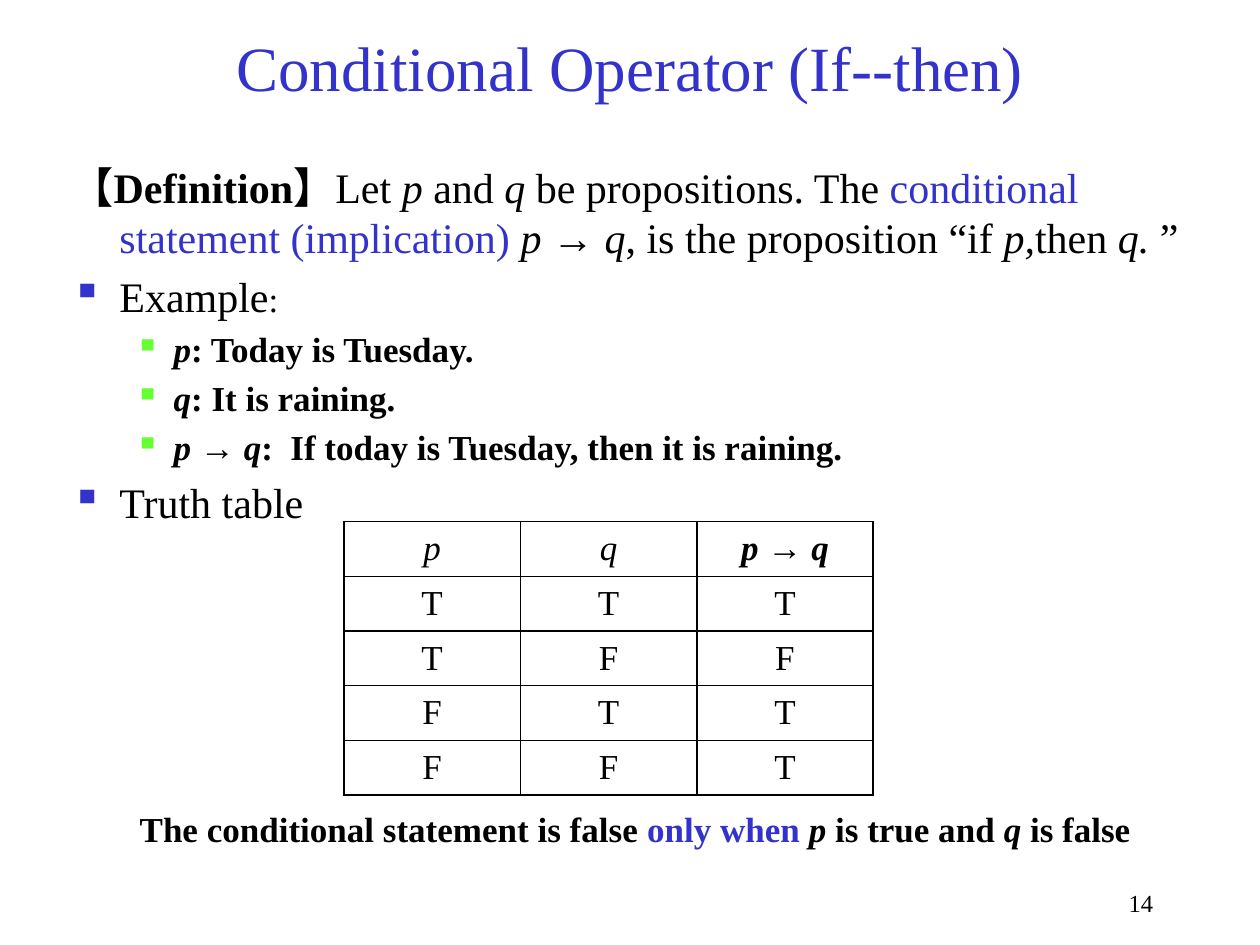
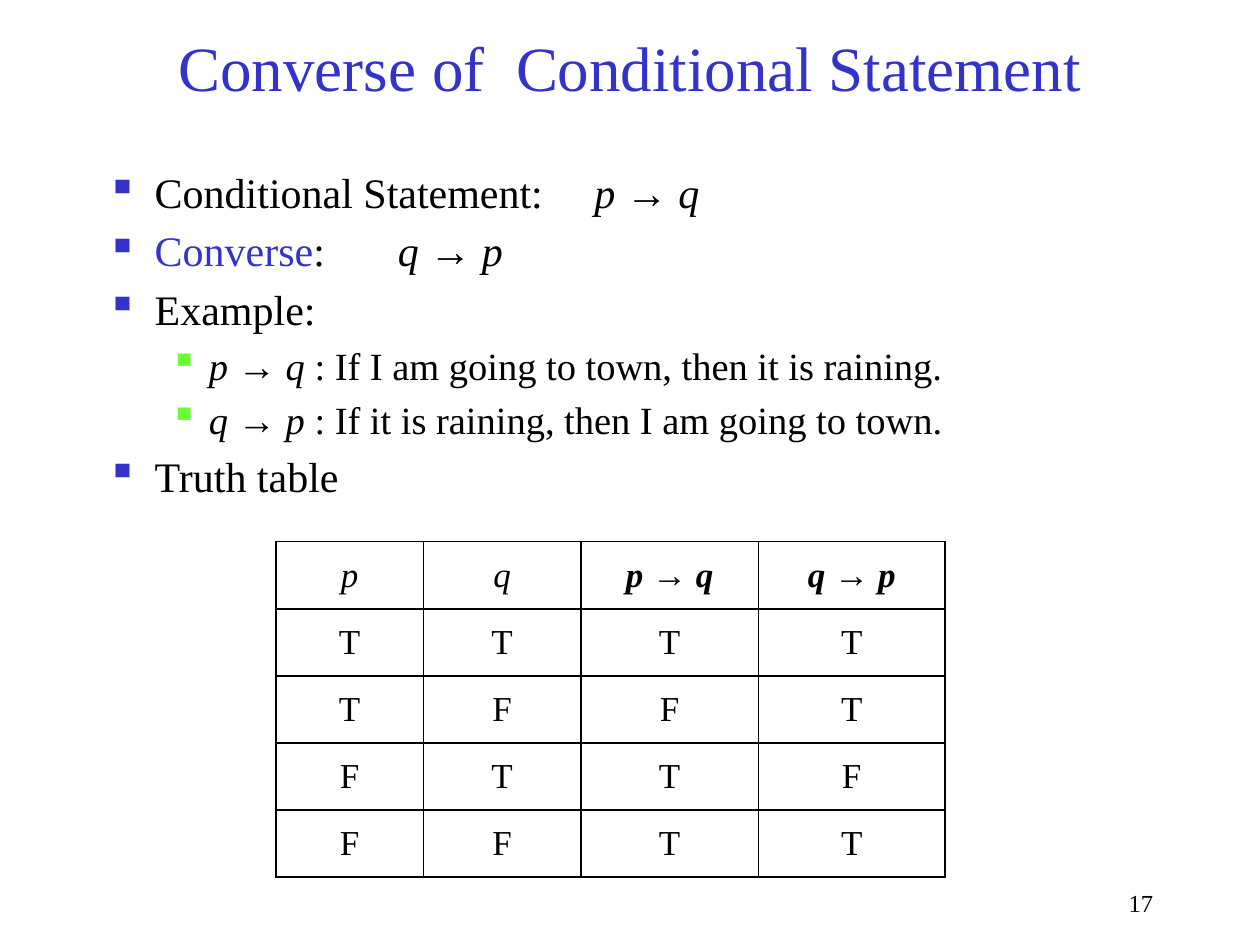
from pptx import Presentation
from pptx.dml.color import RGBColor
from pptx.enum.text import MSO_ANCHOR as Anchor, PP_ALIGN as Align
from pptx.oxml import parse_xml
from pptx.oxml.ns import nsdecls
from pptx.util import Inches, Pt

# Shared look
FONT = "Times New Roman"
BLACK, WHITE, BLUE, GREEN = "000000", "FFFFFF", "3333CC", "66FF33"
BULLETS = {"main": BLUE, "sub": GREEN}
hex_color = RGBColor.from_string

deck = Presentation()
deck.slide_width, deck.slide_height = Inches(10), Inches(7.5)


def grid(left, top, width, height):
    """Turn percentages of the slide's size into lengths."""
    across, down = deck.slide_width / 100, deck.slide_height / 100
    return int(left * across), int(top * down), int(width * across), int(height * down)


def write_line(frame, spans, size, color=BLACK, align=Align.LEFT, kind=None, tab=None):
    """Add a paragraph; span styles are b (bold), i (italic), a (accent), s (small)."""
    frame.word_wrap = True
    para = frame.paragraphs[0] if not frame.paragraphs[0].runs else frame.add_paragraph()
    para.alignment = align
    para.font.name, para.font.size = FONT, Pt(size)
    para.font.color.rgb = hex_color(color)
    props = para._p.get_or_add_pPr()
    extras = []
    if kind:
        para.level = int(kind == "sub")
        margin, hang = (0.81, 0.31) if kind == "sub" else (0.38, 0.38)
        props.set("marL", str(Inches(margin)))
        props.set("indent", str(-Inches(hang)))
    if kind or color == BLACK and align == Align.CENTER:
        extras.append(f'<a:spcBef {nsdecls("a")}><a:spcPct val="20000"/></a:spcBef>')
    if kind in BULLETS:
        extras.append(f'<a:buClr {nsdecls("a")}><a:srgbClr val="{BULLETS[kind]}"/></a:buClr>')
        extras.append(f'<a:buChar {nsdecls("a")} char="▪"/>')
    if tab:
        extras.append(f'<a:tabLst {nsdecls("a")}><a:tab pos="{Inches(tab)}" algn="l"/></a:tabLst>')
    for position, extra in enumerate(extras):
        props.insert(position, parse_xml(extra))
    for text, style in spans:
        span = para.add_run()
        span.text = text
        if "b" in style:
            span.font.bold = True
        if "i" in style:
            span.font.italic = True
        if "a" in style:
            span.font.color.rgb = hex_color(BLUE)
        if "s" in style:
            span.font.size = Pt(20)


# Formulas used in the text and in the table heads
P_TO_Q = [("p ", "i"), ("→ ", ""), ("q", "i")]
Q_TO_P = [("q ", "i"), ("→ ", ""), ("p", "i")]
P_TO_Q_BOLD, Q_TO_P_BOLD = ([(text, style + "b") for text, style in formula]
                            for formula in (P_TO_Q, Q_TO_P))
P_HEAD, Q_HEAD = [("p", "i")], [("q", "i")]

# Each line: kind, size, tab stop, spans
conditional_lines = [
    ("plain", 24, None, [
        ("【Definition】", "b"), ("Let ", ""), ("p ", "i"), ("and", ""), (" q ", "i"),
        ("be propositions. The ", ""), ("conditional statement (implication) ", "a"),
        ("p ", "i"), ("→ ", "b"), ("q", "i"), (", is the proposition “if ", ""),
        ("p,", "i"), ("then ", ""), ("q. ", "i"), ("”", "")]),
    ("main", 24, None, [("Example", ""), (":", "s")]),
    ("sub", 20, None, [("p", "bi"), (": Today is Tuesday.", "b")]),
    ("sub", 20, None, [("q", "bi"), (": It is raining.", "b")]),
    ("sub", 20, None, P_TO_Q_BOLD + [(":  If today is Tuesday, then it is raining.", "b")]),
    ("main", 24, None, [("Truth table", "")]),
]
converse_lines = [
    ("main", 24, 3.87, [("Conditional Statement:\t", "")] + P_TO_Q),
    ("main", 24, 2.31, [("Converse", "a"), (":\t", "")] + Q_TO_P),
    ("main", 24, None, [("Example:", "")]),
    ("sub", 22, None, P_TO_Q + [(" : If I am going to town, then it is raining.", "")]),
    ("sub", 22, None, Q_TO_P + [(" : If it is raining, then I am going to town.", "")]),
    ("main", 24, None, [("Truth table", "")]),
]

# Title, number, body place, body lines, table place, column widths, heads, truth rows
slides = [
    ("Conditional Operator (If--then)", "14", (4.7, 16.4, 91.4, 40), conditional_lines,
     (27.3, 55.2, 41.9, 27.6), [1.4] * 3,
     [P_HEAD, Q_HEAD, P_TO_Q_BOLD], ["TTT", "TFF", "FTT", "FFT"]),
    ("Converse of  Conditional Statement", "17", (7.5, 16.93, 85, 40), converse_lines,
     (21.9, 57.33, 53.1, 35.47), [1.17, 1.25, 1.41, 1.48],
     [P_HEAD, Q_HEAD, P_TO_Q_BOLD, Q_TO_P_BOLD], ["TTTT", "TFFT", "FTTF", "FFTT"]),
]

for title, number, body_place, lines, table_place, widths, heads, truths in slides:
    page = deck.slides.add_slide(deck.slide_layouts[6])

    # Title
    box = page.shapes.add_textbox(*grid(7.5, 1.73, 85, 10.53))
    box.text_frame.vertical_anchor = Anchor.MIDDLE
    write_line(box.text_frame, [(title, "")], 36, BLUE, Align.CENTER)

    # Body
    box = page.shapes.add_textbox(*grid(*body_place))
    for kind, size, tab, spans in lines:
        write_line(box.text_frame, spans, size, kind=kind, tab=tab)

    # Truth table
    rows = [heads] + [[[(value, "")] for value in truth] for truth in truths]
    place = grid(*table_place)
    table = page.shapes.add_table(len(rows), len(heads), *place).table
    table.first_row = table.horz_banding = False
    for column, width in zip(table.columns, widths):
        column.width = Inches(width)
    for r, row in enumerate(rows):
        table.rows[r].height = place[3] // len(rows)
        for c, spans in enumerate(row):
            cell = table.cell(r, c)
            cell.vertical_anchor = Anchor.MIDDLE
            write_line(cell.text_frame, spans, 20, align=Align.CENTER)
            for side in ("lnL", "lnR", "lnT", "lnB"):
                cell._tc.get_or_add_tcPr().append(parse_xml(
                    f'<a:{side} {nsdecls("a")} w="{Pt(1)}"><a:solidFill>'
                    f'<a:srgbClr val="{BLACK}"/></a:solidFill></a:{side}>'))
            cell.fill.solid()
            cell.fill.fore_color.rgb = hex_color(WHITE)

    # Page number
    box = page.shapes.add_textbox(*grid(76.7, 93.33, 15.8, 4.4))
    write_line(box.text_frame, [(number, "")], 14, align=Align.RIGHT)

# Conclusion under the first truth table
box = deck.slides[0].shapes.add_textbox(*grid(4.7, 84.8, 91.4, 5.6))
write_line(box.text_frame, [
    ("The conditional statement is false ", "b"), ("only when ", "ba"), ("p", "bi"),
    (" is true and ", "b"), ("q", "bi"), (" is false", "b")], 20, align=Align.CENTER)

deck.save("out.pptx")
